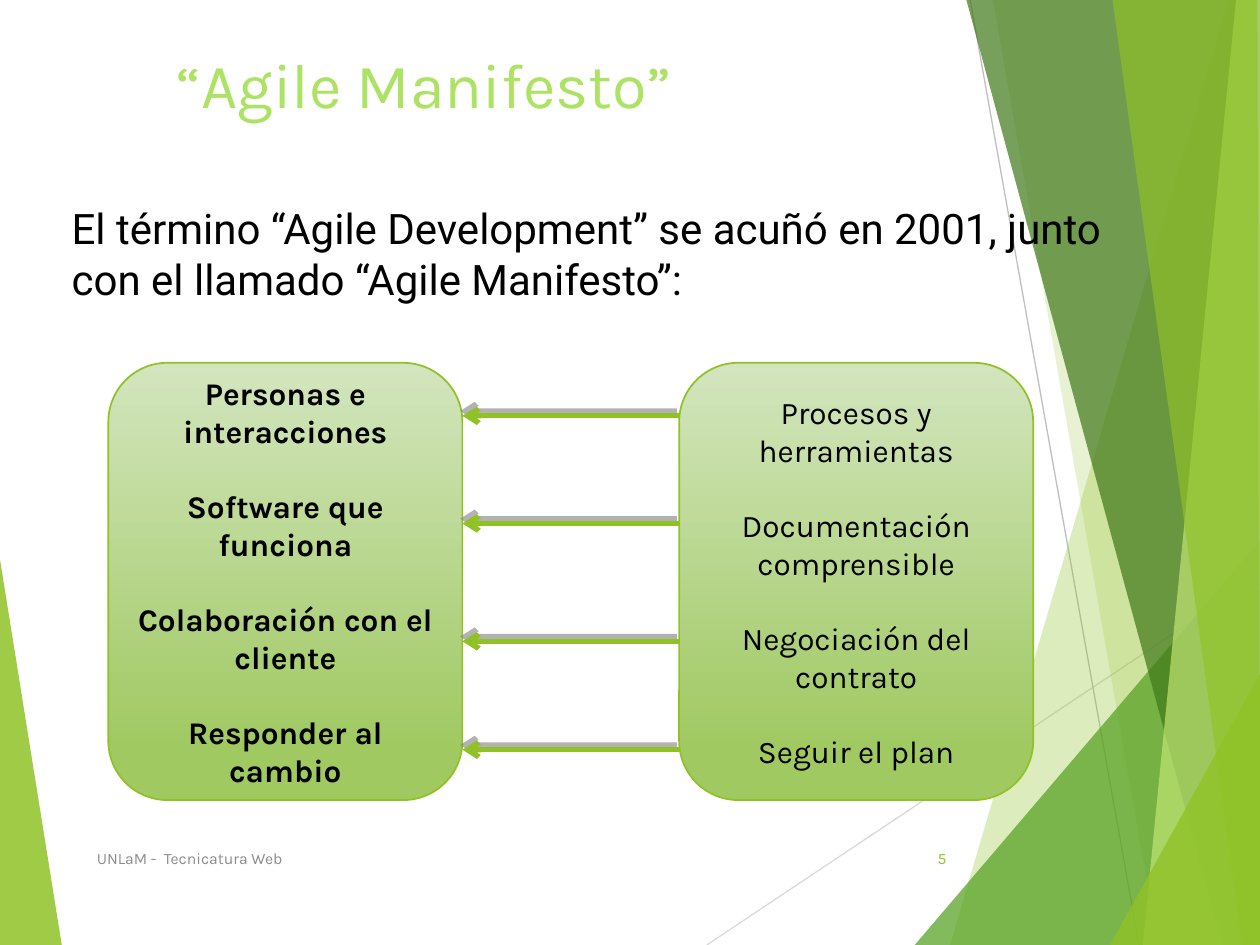
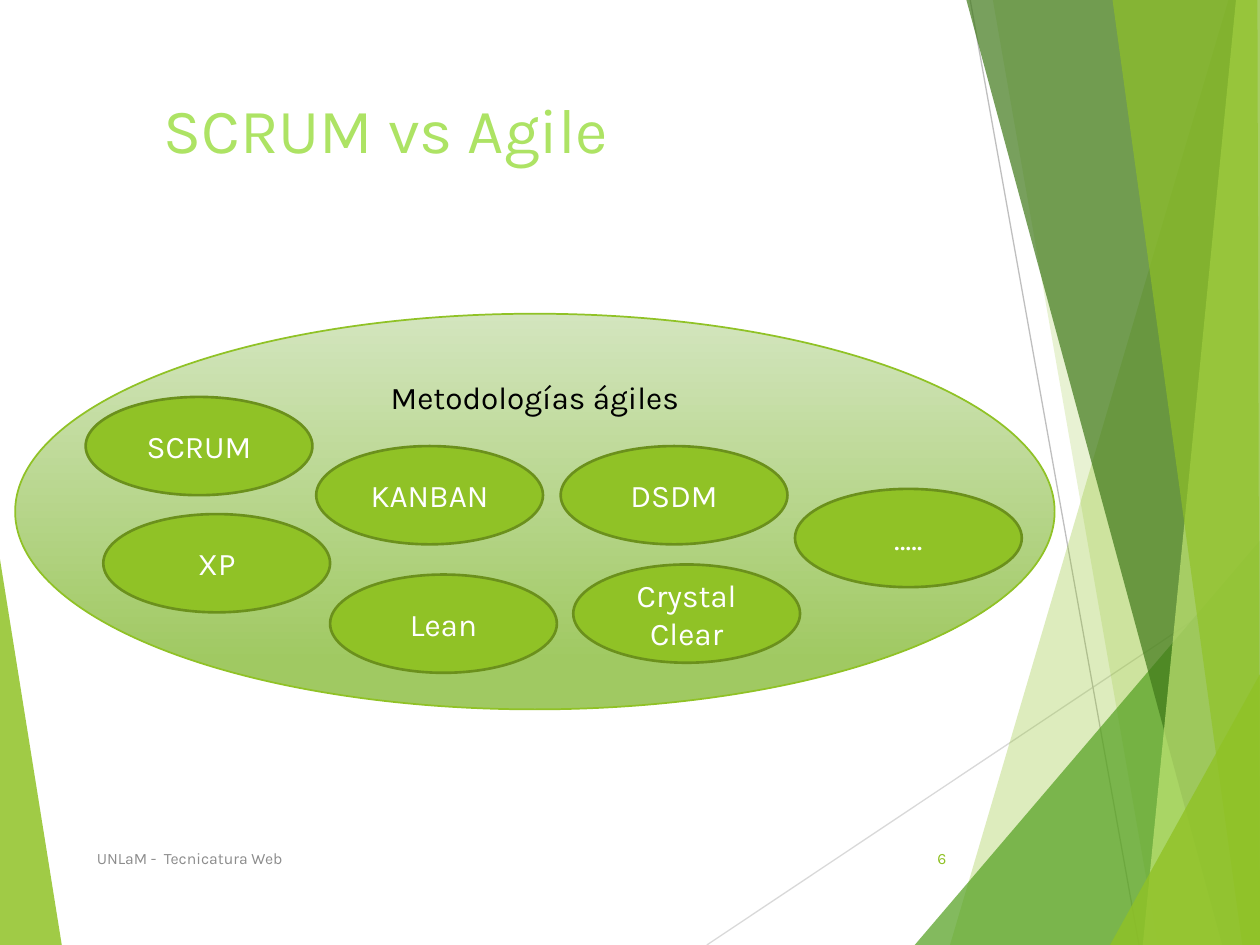
from lxml.etree import SubElement
from pptx import Presentation
from pptx.dml.color import RGBColor
from pptx.enum.shapes import MSO_CONNECTOR, MSO_SHAPE
from pptx.enum.text import MSO_ANCHOR, PP_ALIGN
from pptx.oxml.ns import qn
from pptx.util import Inches, Pt

COLORS = {
    "lime": "90C226", "green": "54A021", "forest": "3F7819", "pale": "C0E474",
    "title": "ADE364", "gradient_top": "D3E5BE", "gradient_bottom": "A0C962",
    "outline": "6B901C", "text": "000000", "white": "FFFFFF", "footer": "8C8C8C",
    "light_line": "D9D9D9", "dark_line": "BFBFBF", "shadow": "808080",
}
RGB = {name: RGBColor.from_string(value) for name, value in COLORS.items()}

presentation = Presentation()
presentation.slide_width = Inches(10)
presentation.slide_height = Inches(7.5)
# The grid has 100 columns and 75 rows; every place below is given in them.
COLUMN = presentation.slide_width // 100
ROW = presentation.slide_height // 75

# Background bands: colour, opacity in percent, corners
LEFT_BAND = ("lime", 85, [(0, 44.4), (4.9, 75), (0, 75)])
RIGHT_BANDS = [
    ("lime", 30, [(97.5, 0), (75.4, 75), (100, 75), (100, 0)]),
    ("lime", 20, [(78.8, 0), (91.9, 75), (100, 75), (100, 0)]),
    ("green", 72, [(72.6, 75), (100, 42.9), (100, 75)]),
    ("forest", 70, [(76.7, 0), (97, 75), (100, 75), (100, 0)]),
    ("pale", 70, [(98.1, 0), (90.7, 75), (100, 75), (100, 0)]),
    ("lime", 65, [(88.3, 0), (98.6, 75), (100, 75), (99.8, 0)]),
    ("lime", 80, [(88.1, 75), (100, 53.5), (100, 75)]),
]
BACKGROUND_LINES = [
    ("light_line", (56.1, 75), (100, 45.7)),
    ("dark_line", (77, 0), (90.4, 75)),
]


def add_text(slide, box, paragraphs, preset=None, size=18, color="text", font="Karla",
             bold=False, align=PP_ALIGN.LEFT, anchor=MSO_ANCHOR.MIDDLE, gap=0):
    """Add a text box, or a preset shape, with one run per paragraph."""
    left, top, width, height = box
    place = (round(left * COLUMN), round(top * ROW), round(width * COLUMN), round(height * ROW))
    if preset is None:
        shape = slide.shapes.add_textbox(*place)
    else:
        shape = slide.shapes.add_shape(preset, *place)
        shape.shadow.inherit = False
    frame = shape.text_frame
    frame.word_wrap = True
    frame.vertical_anchor = anchor
    for index, text in enumerate(paragraphs):
        paragraph = frame.add_paragraph() if index else frame.paragraphs[0]
        paragraph.alignment = align
        paragraph.space_before = Pt(gap if index else 0)
        run = paragraph.add_run()
        run.text = text
        run.font.size = Pt(size)
        run.font.name = font
        run.font.bold = bold
        run.font.color.rgb = RGB[color]
    return shape


def add_line(slide, start, end, color, width):
    """Add a straight connector without effects."""
    connector = slide.shapes.add_connector(
        MSO_CONNECTOR.STRAIGHT, round(start[0] * COLUMN), round(start[1] * ROW),
        round(end[0] * COLUMN), round(end[1] * ROW))
    connector.line.color.rgb = RGB[color]
    connector.line.width = Pt(width)
    SubElement(connector._element.spPr, qn("a:effectLst"))
    return connector


# What both slides share: background, title and footer
slides = []
for number, title, title_box in [
    (5, "“Agile Manifesto”", (7.7, 3.1, 85, 17.5)),
    (6, "SCRUM vs Agile", (6.7, 6.7, 69.4, 14.4)),
]:
    slide = presentation.slides.add_slide(presentation.slide_layouts[6])
    slides.append(slide)
    for color, start, end in BACKGROUND_LINES:
        add_line(slide, start, end, color, 0.75)
    for color, opacity, corners in [LEFT_BAND, *RIGHT_BANDS]:
        points = [(round(x * COLUMN), round(y * ROW)) for x, y in corners]
        builder = slide.shapes.build_freeform(*points[0])
        builder.add_line_segments(points[1:], close=True)
        band = builder.convert_to_shape()
        band.shadow.inherit = False
        band.fill.solid()
        band.fill.fore_color.rgb = RGB[color]
        band_color = band._element.spPr.find(".//" + qn("a:srgbClr"))
        SubElement(band_color, qn("a:alpha"), val=str(opacity * 1000))
        band.line.fill.background()

    title_shape = add_text(slide, title_box, [title], size=36, color="title",
                           anchor=MSO_ANCHOR.TOP)
    title_properties = title_shape.text_frame.paragraphs[0]._p.get_or_add_pPr()
    title_properties.set("marL", str(Inches(0.53)))
    title_properties.set("indent", "0")
    add_text(slide, (6.7, 66.1, 50.6, 4), ["UNLaM -  Tecnicatura Web"], size=9, color="footer")
    add_text(slide, (70.5, 66.1, 5.6, 4), [str(number)], size=9, color="lime",
             align=PP_ALIGN.RIGHT)

manifesto, methods = slides

# Agile Manifesto: what is valued more, on the left, against what is valued less
add_text(manifesto, (4.7, 15.6, 89.8, 13.1),
         ["El término “Agile Development” se acuñó en 2001, "
          "junto con el llamado “Agile Manifesto”:"],
         size=24, font="Roboto", anchor=MSO_ANCHOR.TOP)
PANEL_WIDTH = 28.1
LEFT_PANEL, RIGHT_PANEL = 8.6, 53.9
gradient_shapes = []
for left, bold, values in [
    (LEFT_PANEL, True, ["Personas e interacciones", "Software que funciona",
                        "Colaboración con el cliente", "Responder al cambio"]),
    (RIGHT_PANEL, False, ["Procesos y herramientas", "Documentación comprensible",
                          "Negociación del contrato", "Seguir el plan"]),
]:
    gradient_shapes.append(add_text(
        manifesto, (left, 28.8, PANEL_WIDTH, 34.7), values, MSO_SHAPE.ROUNDED_RECTANGLE,
        bold=bold, align=PP_ALIGN.CENTER, gap=21.5))

for row in (33, 41.55, 50.9, 59.5):
    arrow = add_line(manifesto, (RIGHT_PANEL, row), (LEFT_PANEL + PANEL_WIDTH, row), "lime", 3)
    SubElement(arrow.line._get_or_add_ln(), qn("a:tailEnd"), type="arrow")
    effects = arrow._element.spPr.find(qn("a:effectLst"))
    shadow = SubElement(effects, qn("a:outerShdw"), dist=str(Pt(3)), dir=str(245 * 60000))
    shadow_color = SubElement(shadow, qn("a:srgbClr"), val=COLORS["shadow"])
    SubElement(shadow_color, qn("a:alpha"), val="60000")

# SCRUM vs Agile: the methods inside the family of agile methodologies
gradient_shapes.append(add_text(
    methods, (1.2, 24.9, 82.5, 31.4), ["Metodologías ágiles"], MSO_SHAPE.OVAL,
    align=PP_ALIGN.CENTER, anchor=MSO_ANCHOR.TOP))
for name, left, top in [
    ("SCRUM", 6.8, 31.5), ("XP", 8.2, 40.8), ("KANBAN", 25.1, 35.4), ("Lean", 26.2, 45.6),
    ("DSDM", 44.5, 35.4), ("Crystal Clear", 45.5, 44.8), ("…..", 63.1, 38.8),
]:
    method = add_text(methods, (left, top, 18, 7.8), [name], MSO_SHAPE.OVAL, color="white",
                      align=PP_ALIGN.CENTER)
    method.fill.solid()
    method.fill.fore_color.rgb = RGB["lime"]
    method.line.color.rgb = RGB["outline"]
    method.line.width = Pt(1.5)

for shape in gradient_shapes:
    shape.fill.gradient()
    shape.fill.gradient_angle = 270
    for stop, position, color in zip(shape.fill.gradient_stops, (0, 0.88),
                                     ("gradient_top", "gradient_bottom")):
        stop.position = position
        stop.color.rgb = RGB[color]
    shape.line.color.rgb = RGB["lime"]
    shape.line.width = Pt(1)

presentation.save("out.pptx")
